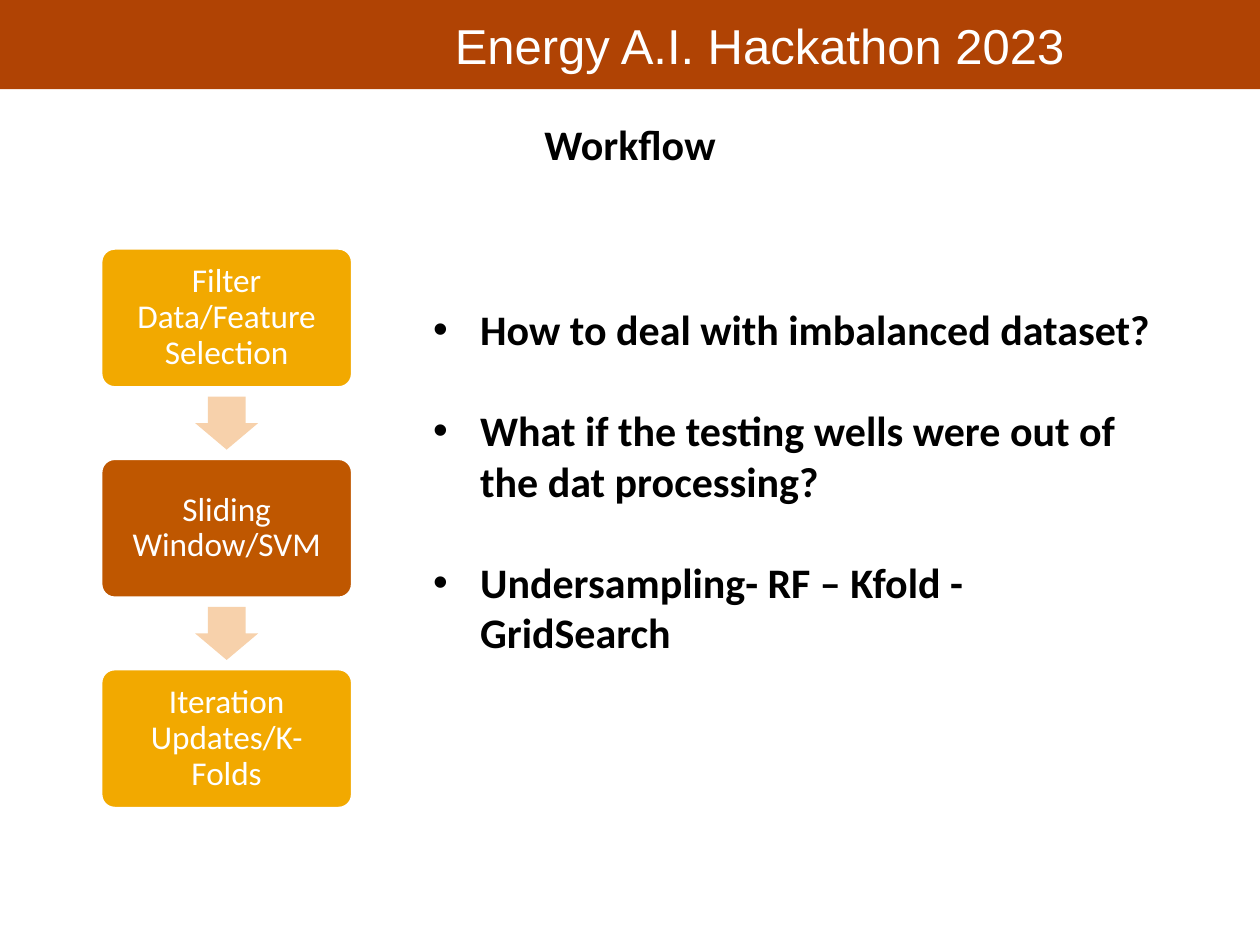
import pptx
import pptx.util
import pptx.dml.color
import pptx.enum.shapes
import pptx.enum.text
import pptx.oxml.ns
import lxml.etree
from pptx.util import Cm, Pt

COLORS = {
    "band": "B04304",
    "amber": "F2A900",
    "orange": "BF5700",
    "arrow": "F7D1AB",
    "white": "FFFFFF",
    "black": "000000",
}
SHAPES = pptx.enum.shapes.MSO_SHAPE
ALIGN = pptx.enum.text.PP_ALIGN
ANCHOR = pptx.enum.text.MSO_ANCHOR


def rgb(name):
    return pptx.dml.color.RGBColor.from_string(COLORS[name])


def format_runs(frame, font, size, color, bold=False):
    for para in frame.paragraphs:
        for span in para.runs:
            span.font.name = font
            span.font.size = Pt(size)
            span.font.color.rgb = rgb(color)
            span.font.bold = bold


def add_filled(slide, kind, box, color):
    shape = slide.shapes.add_shape(kind, *box)
    shape.shadow.inherit = False
    shape.fill.solid()
    shape.fill.fore_color.rgb = rgb(color)
    shape.line.fill.background()
    return shape


def add_header(slide, box, text):
    """Coloured band with the event name right of centre."""
    left, top, width, height = box
    add_filled(slide, SHAPES.RECTANGLE, box, "band")
    label = slide.shapes.add_textbox(left + Cm(8.92), top + Cm(0.18), Cm(12.95), Cm(1.45))
    frame = label.text_frame
    frame.word_wrap = False
    frame.text = text
    format_runs(frame, "Arial", 28, "white")


def place_title(slide, box, text):
    title = slide.shapes.title
    title.left, title.top, title.width, title.height = box
    frame = title.text_frame
    frame.text = text
    frame.vertical_anchor = ANCHOR.TOP
    frame.paragraphs[0].alignment = ALIGN.CENTER
    format_runs(frame, "Calibri", 24, "black", bold=True)


def add_workflow(slide, box, steps):
    """Stack of step boxes with a down arrow centred in each gap."""
    left, top, width, height = box
    gap = Cm(1.42)
    step_height = (height - gap * (len(steps) - 1)) // len(steps)
    arrow_width, arrow_height = Cm(1.27), Cm(1.07)
    for index, (text, color) in enumerate(steps):
        step_top = top + index * (step_height + gap)
        step = add_filled(slide, SHAPES.ROUNDED_RECTANGLE,
                          (left, step_top, width, step_height), color)
        step.adjustments[0] = 0.1
        step.line.color.rgb = rgb("white")
        step.line.width = Pt(2)
        frame = step.text_frame
        frame.word_wrap = True
        frame.margin_left = frame.margin_right = Cm(0.26)
        frame.vertical_anchor = ANCHOR.MIDDLE
        frame.text = text
        frame.paragraphs[0].alignment = ALIGN.CENTER
        frame.paragraphs[0].line_spacing = 0.9
        format_runs(frame, "Calibri", 19, "white")
        if index:
            arrow = add_filled(slide, SHAPES.DOWN_ARROW,
                               (left + (width - arrow_width) // 2,
                                step_top - (gap + arrow_height) // 2,
                                arrow_width, arrow_height), "arrow")
            arrow.adjustments[0] = 0.6
            arrow.adjustments[1] = 0.5


def add_bullets(slide, box, items):
    frame = slide.shapes.add_textbox(*box).text_frame
    frame.word_wrap = True
    frame.text = "\n".join(items)
    for index, para in enumerate(frame.paragraphs):
        para.space_before = Pt(29 if index else 0)
        properties = para._p.get_or_add_pPr()
        properties.set("marL", str(Cm(0.95)))
        properties.set("indent", str(-Cm(0.95)))
        for tag, key, value in (("a:buFont", "typeface", "Arial"), ("a:buChar", "char", "•")):
            lxml.etree.SubElement(properties, pptx.oxml.ns.qn(tag)).set(key, value)
    format_runs(frame, "Calibri", 24, "black", bold=True)


def main():
    deck = pptx.Presentation()
    deck.slide_width, deck.slide_height = Cm(25.4), Cm(19.05)
    slide = deck.slides.add_slide(deck.slide_layouts.get_by_name("Title Only"))

    add_header(slide, (0, 0, deck.slide_width, Cm(1.8)), "Energy A.I. Hackathon 2023")
    place_title(slide, (Cm(10.45), Cm(2.26), Cm(4.5), Cm(1.28)), "Workflow")
    add_workflow(slide, (Cm(2.03), Cm(5), Cm(5.08), Cm(11.3)), [
        ("Filter Data/Feature Selection", "amber"),
        ("Sliding Window/SVM", "orange"),
        ("Iteration Updates/K-Folds", "amber"),
    ])
    add_bullets(slide, (Cm(8.48), Cm(6), Cm(15.2), Cm(8.46)), [
        "How to deal with imbalanced dataset?",
        "What if the testing wells were out of the dat processing?",
        "Undersampling- RF – Kfold - GridSearch",
    ])
    deck.save("out.pptx")


if __name__ == "__main__":
    main()
